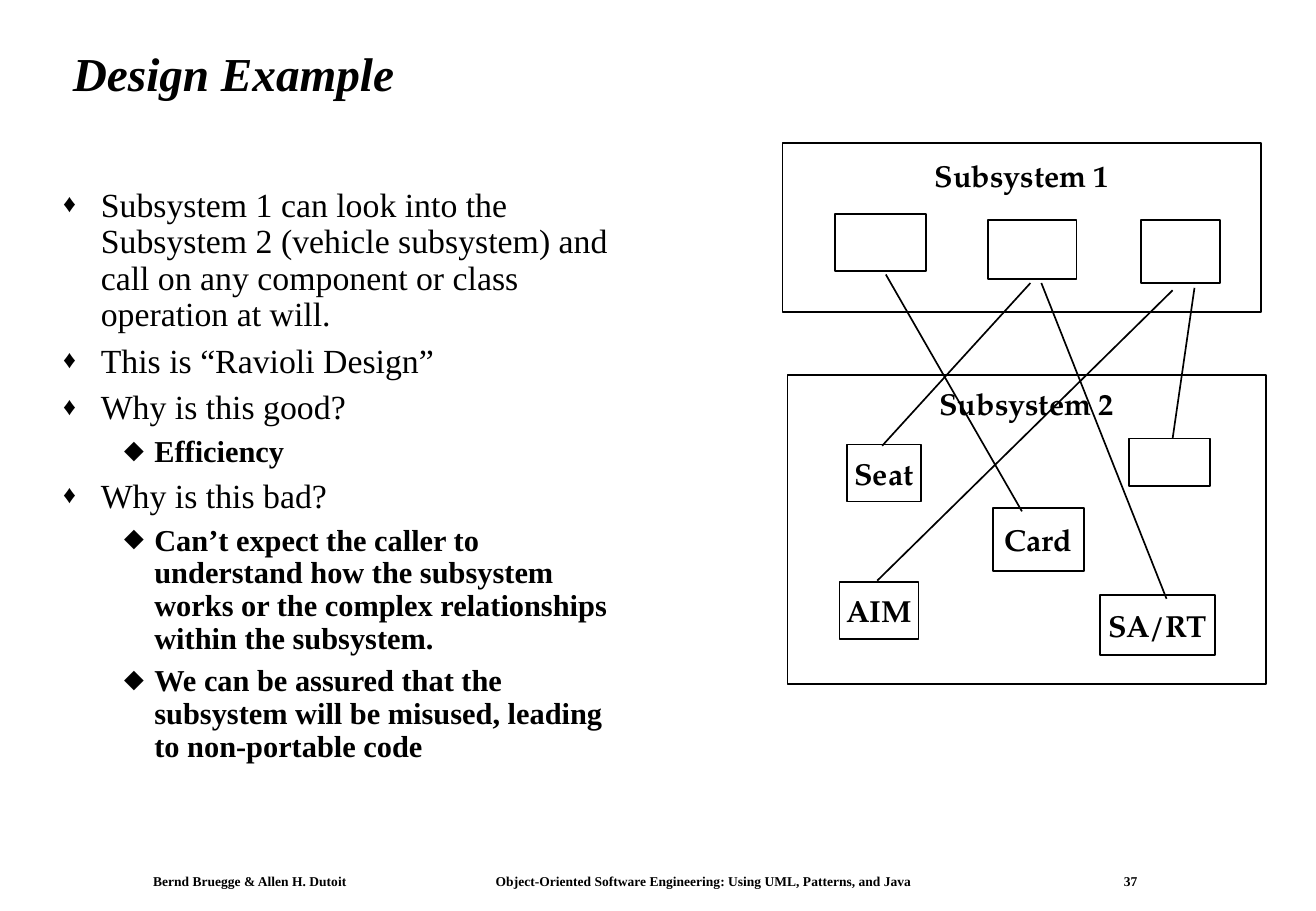
from dataclasses import dataclass

from lxml.etree import SubElement
from pptx import Presentation
from pptx.dml.color import RGBColor
from pptx.enum.shapes import MSO_CONNECTOR as Connector, MSO_SHAPE as Preset
from pptx.enum.text import MSO_ANCHOR as Anchor, MSO_AUTO_SIZE as AutoSize, PP_ALIGN as Align
from pptx.oxml.ns import qn
from pptx.util import Emu, Pt

EMU_PER_PX = 9144
BLACK, WHITE = "000000", "FFFFFF"
SERIF, PALATINO = "Times New Roman", "TeX Gyre Pagella"


@dataclass(frozen=True)
class Box:
    left: int
    top: int
    width: int
    height: int
    label: str = ""
    anchor: Anchor = Anchor.MIDDLE
    inset_top: int = 5


@dataclass(frozen=True)
class Link:
    x1: int
    y1: int
    x2: int
    y2: int


@dataclass(frozen=True)
class Level:
    margin: int
    hanging: int
    bullet: str
    bullet_percent: int
    size: int
    space_before: float
    bold: bool


@dataclass(frozen=True)
class Point:
    level: int
    text: str


LEVELS = [
    Level(31, 31, "♦", 75, 20, 6, False),
    Level(75, 25, "⬥", 100, 18, 5.4, True),
]

POINTS = [
    Point(0, "Subsystem 1 can look into the Subsystem 2 (vehicle subsystem) "
             "and call on any component or class operation at will."),
    Point(0, "This is “Ravioli Design”"),
    Point(0, "Why is this good?"),
    Point(1, "Efficiency"),
    Point(0, "Why is this bad?"),
    Point(1, "Can’t expect the caller to understand how the subsystem works "
             "or the complex relationships within the subsystem."),
    Point(1, "We can be assured that the subsystem will be misused, "
             "leading to non-portable code"),
]

BOXES = [
    Box(648, 309, 394, 254, "Subsystem 2", Anchor.TOP, 8),
    Box(644, 118, 394, 139, "Subsystem 1", Anchor.TOP, 11),
    Box(691, 479, 65, 47, "AIM"),
    Box(817, 418, 75, 52, "Card"),
    Box(929, 361, 67, 39),
    Box(905, 490, 95, 49, "SA/RT"),
    Box(697, 366, 61, 47, "Seat"),
    Box(687, 176, 75, 47),
    Box(813, 181, 73, 49),
    Box(939, 181, 65, 52),
]

LINKS = [
    Link(729, 226, 841, 421),
    Link(848, 233, 726, 367),
    Link(965, 239, 722, 478),
    Link(983, 237, 965, 361),
    Link(857, 233, 960, 493),
]

FOOTER = ["Bernd Bruegge & Allen H. Dutoit",
          "Object-Oriented Software Engineering: Using UML, Patterns, and Java", "37"]
FOOTER_TABS = [282, 799]


def px(length: int) -> Emu:
    return Emu(length * EMU_PER_PX)


def color(hex_code: str) -> RGBColor:
    return RGBColor.from_string(hex_code)


def add_run(paragraph, text: str, size: int, font: str = SERIF,
            bold: bool = False, italic: bool = False) -> None:
    run = paragraph.add_run()
    run.text = text
    run.font.name, run.font.size = font, Pt(size)
    run.font.bold, run.font.italic = bold, italic
    run.font.color.rgb = color(BLACK)


def place(shape, left: int, top: int, width: int, height: int) -> None:
    shape.left, shape.top = px(left), px(top)
    shape.width, shape.height = px(width), px(height)


def set_frame(frame, anchor: Anchor, wrap: bool, side: int = 10, top: int = 5) -> None:
    frame.auto_size = AutoSize.NONE
    frame.word_wrap = wrap
    frame.vertical_anchor = anchor
    frame.margin_left = frame.margin_right = px(side)
    frame.margin_top, frame.margin_bottom = px(top), px(5)


def add_title(title) -> None:
    place(title, 50, 24, 966, 77)
    set_frame(title.text_frame, Anchor.MIDDLE, True)
    heading = title.text_frame.paragraphs[0]
    heading.alignment, heading.line_spacing = Align.LEFT, 0.9
    add_run(heading, "Design Example", 28, bold=True, italic=True)


def add_bullet(paragraph, level: Level) -> None:
    props = paragraph._p.get_or_add_pPr()
    props.set("marL", str(px(level.margin)))
    props.set("indent", str(px(-level.hanging)))
    bullet_color = SubElement(props, qn("a:buClr"))
    SubElement(bullet_color, qn("a:srgbClr"), val=BLACK)
    SubElement(props, qn("a:buSzPct"), val=str(level.bullet_percent * 1000))
    SubElement(props, qn("a:buFont"), typeface=SERIF)
    SubElement(props, qn("a:buChar"), char=level.bullet)


def add_points(body) -> None:
    place(body, 42, 150, 480, 496)
    frame = body.text_frame
    set_frame(frame, Anchor.TOP, True)
    for index, point in enumerate(POINTS):
        level = LEVELS[point.level]
        paragraph = frame.add_paragraph() if index else frame.paragraphs[0]
        paragraph.level = point.level
        add_bullet(paragraph, level)
        paragraph.alignment, paragraph.line_spacing = Align.LEFT, 0.9
        paragraph.space_before = Pt(level.space_before if index else 0)
        add_run(paragraph, point.text, level.size, bold=level.bold)


def add_box(shapes, box: Box) -> None:
    shape = shapes.add_shape(Preset.RECTANGLE, px(box.left), px(box.top),
                             px(box.width), px(box.height))
    shape.shadow.inherit = False
    shape.fill.solid()
    shape.fill.fore_color.rgb = color(WHITE)
    shape.line.color.rgb = color(BLACK)
    shape.line.width = Pt(1)
    if box.label:
        set_frame(shape.text_frame, box.anchor, False, top=box.inset_top)
        label = shape.text_frame.paragraphs[0]
        label.alignment = Align.CENTER
        add_run(label, box.label, 18, PALATINO, bold=True)


def add_link(shapes, link: Link) -> None:
    line = shapes.add_connector(Connector.STRAIGHT, px(link.x1), px(link.y1),
                                px(link.x2), px(link.y2))
    line.line.color.rgb = color(BLACK)
    line.line.width = Pt(1)
    SubElement(line._element.spPr, qn("a:effectLst"))


def add_footer(shapes) -> None:
    footer = shapes.add_textbox(px(118), px(715), px(840), px(21))
    set_frame(footer.text_frame, Anchor.TOP, True, side=8, top=4)
    credits = footer.text_frame.paragraphs[0]
    tab_list = SubElement(credits._p.get_or_add_pPr(), qn("a:tabLst"))
    for stop in FOOTER_TABS:
        SubElement(tab_list, qn("a:tab"), pos=str(px(stop)), algn="l")
    add_run(credits, "\t".join(FOOTER), 8, bold=True)


def main() -> None:
    deck = Presentation()
    deck.slide_width, deck.slide_height = px(1083), px(750)
    slide = deck.slides.add_slide(deck.slide_layouts[1])
    add_footer(slide.shapes)
    add_title(slide.shapes.title)
    add_points(slide.placeholders[1])
    for box in BOXES:
        add_box(slide.shapes, box)
    for link in LINKS:
        add_link(slide.shapes, link)
    deck.save("out.pptx")


if __name__ == "__main__":
    main()
